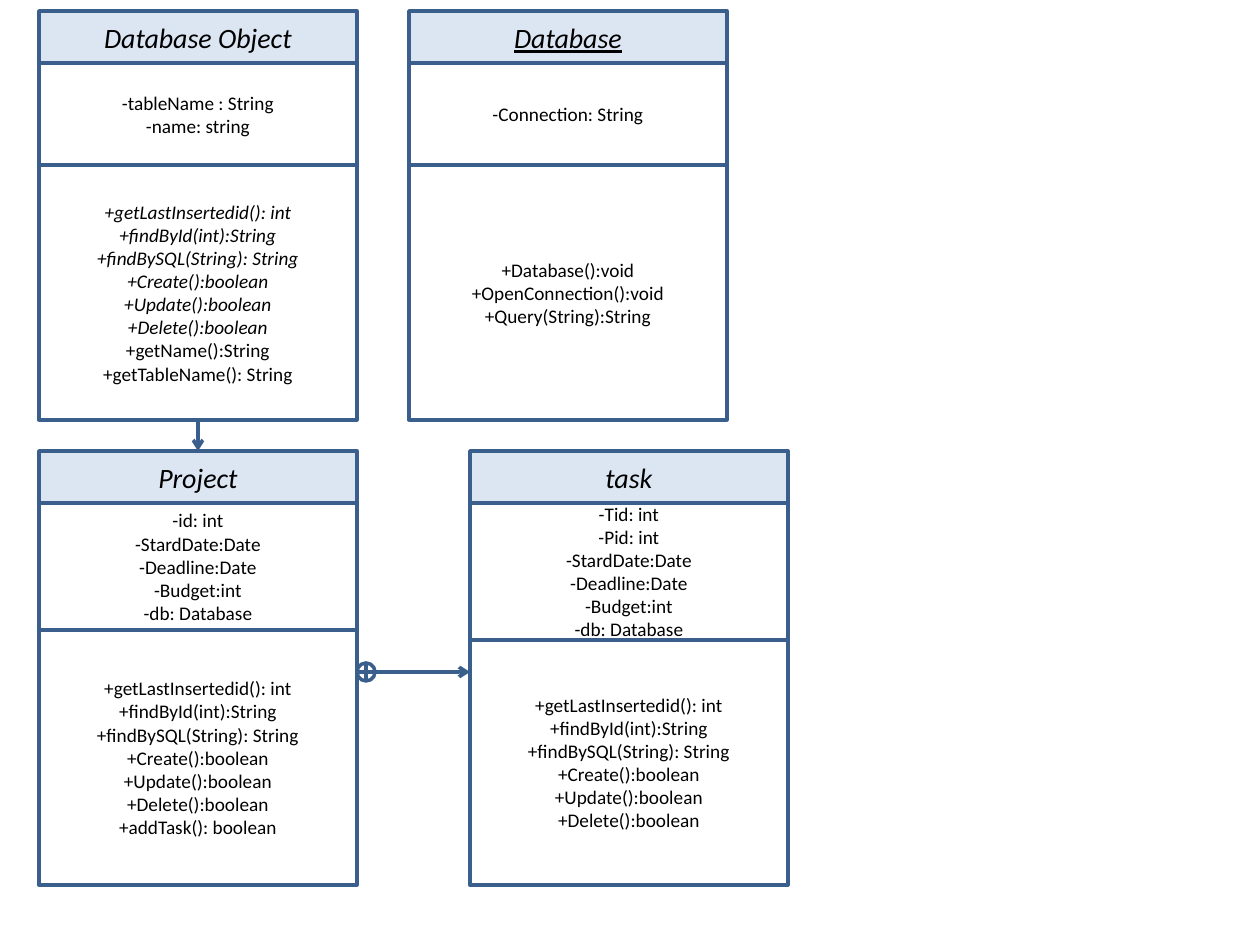
"""Builds a UML class diagram slide with four classes and two relations."""
from lxml import etree
from pptx import Presentation
from pptx import util as u
from pptx.dml.color import RGBColor
from pptx.enum import shapes, text
from pptx.oxml.ns import qn

COLORS = {"line": "3A5F8C", "title": "DCE6F2", "text": "000000"}
FONT = "Calibri"
PX = 914400 // 126
CLASS_W, TITLE_H = 318, 52
INSET_X, INSET_Y = 16, 9

FINDERS = ["+getLastInsertedid(): int", "+findById(int):String", "+findBySQL(String): String",
           "+Create():boolean", "+Update():boolean", "+Delete():boolean"]
PLAN = ["-StardDate:Date", "-Deadline:Date", "-Budget:int", "-db: Database"]

CLASSES = [
    dict(name="Database Object", left=39, top=11, split=165, bottom=420,
         fields=["-tableName : String", "-name: string"],
         methods=FINDERS + ["+getName():String", "+getTableName(): String"], abstract=FINDERS),
    dict(name="Database", left=409, top=11, split=165, bottom=420, underline=True,
         fields=["-Connection: String"],
         methods=["+Database():void", "+OpenConnection():void", "+Query(String):String"]),
    dict(name="Project", left=39, top=451, split=630, bottom=885,
         fields=["-id: int"] + PLAN, methods=FINDERS + ["+addTask(): boolean"]),
    dict(name="task", left=470, top=451, split=640, bottom=885,
         fields=["-Tid: int", "-Pid: int"] + PLAN, methods=FINDERS),
]
ARROWS = [(198, 420, 198, 451), (356, 672, 470, 672)]
NEST_MARK = (357, 663, 18, 18)


def px(n):
    return u.Emu(n * PX)


def rgb(key):
    return RGBColor.from_string(COLORS[key])


def style_line(line):
    line.color.rgb = rgb("line")
    line.width = u.Pt(2)


def add_outline(s, kind, box, fill=None):
    sp = s.shapes.add_shape(kind, *map(px, box))
    sp.shadow.inherit = False
    if fill:
        sp.fill.solid()
        sp.fill.fore_color.rgb = rgb(fill)
    else:
        sp.fill.background()
    style_line(sp.line)
    return sp


def add_section(s, box, lines, size=11, italic=(), underline=False, fill=None):
    tf = add_outline(s, shapes.MSO_SHAPE.RECTANGLE, box, fill).text_frame
    tf.word_wrap = True
    tf.vertical_anchor = text.MSO_ANCHOR.MIDDLE
    tf.margin_left = tf.margin_right = px(INSET_X)
    tf.margin_top = tf.margin_bottom = px(INSET_Y)
    for i, line in enumerate(lines):
        p = tf.add_paragraph() if i else tf.paragraphs[0]
        p.alignment = text.PP_ALIGN.CENTER
        r = p.add_run()
        r.text = line
        r.font.name = FONT
        r.font.size = u.Pt(size)
        r.font.color.rgb = rgb("text")
        r.font.italic = line in italic
        r.font.underline = underline


def add_class(s, name, left, top, split, bottom, fields, methods, abstract=(), underline=False):
    body = top + TITLE_H
    add_section(s, (left, top, CLASS_W, TITLE_H), [name], 16, [name], underline, "title")
    add_section(s, (left, body, CLASS_W, split - body), fields)
    add_section(s, (left, split, CLASS_W, bottom - split), methods, italic=abstract)


def add_arrow(s, ends):
    cx = s.shapes.add_connector(shapes.MSO_CONNECTOR.STRAIGHT, *map(px, ends))
    style_line(cx.line)
    sp_pr = cx.line._get_or_add_ln().getparent()
    etree.SubElement(sp_pr.find(qn("a:ln")), qn("a:tailEnd"), type="arrow")
    etree.SubElement(sp_pr, qn("a:effectLst"))


prs = Presentation()
prs.slide_width, prs.slide_height = u.Inches(10), u.Inches(7.5)
s = prs.slides.add_slide(prs.slide_layouts[6])
for spec_of_class in CLASSES:
    add_class(s, **spec_of_class)
for ends in ARROWS:
    add_arrow(s, ends)
add_outline(s, shapes.MSO_SHAPE.FLOWCHART_OR, NEST_MARK)
prs.save("out.pptx")
